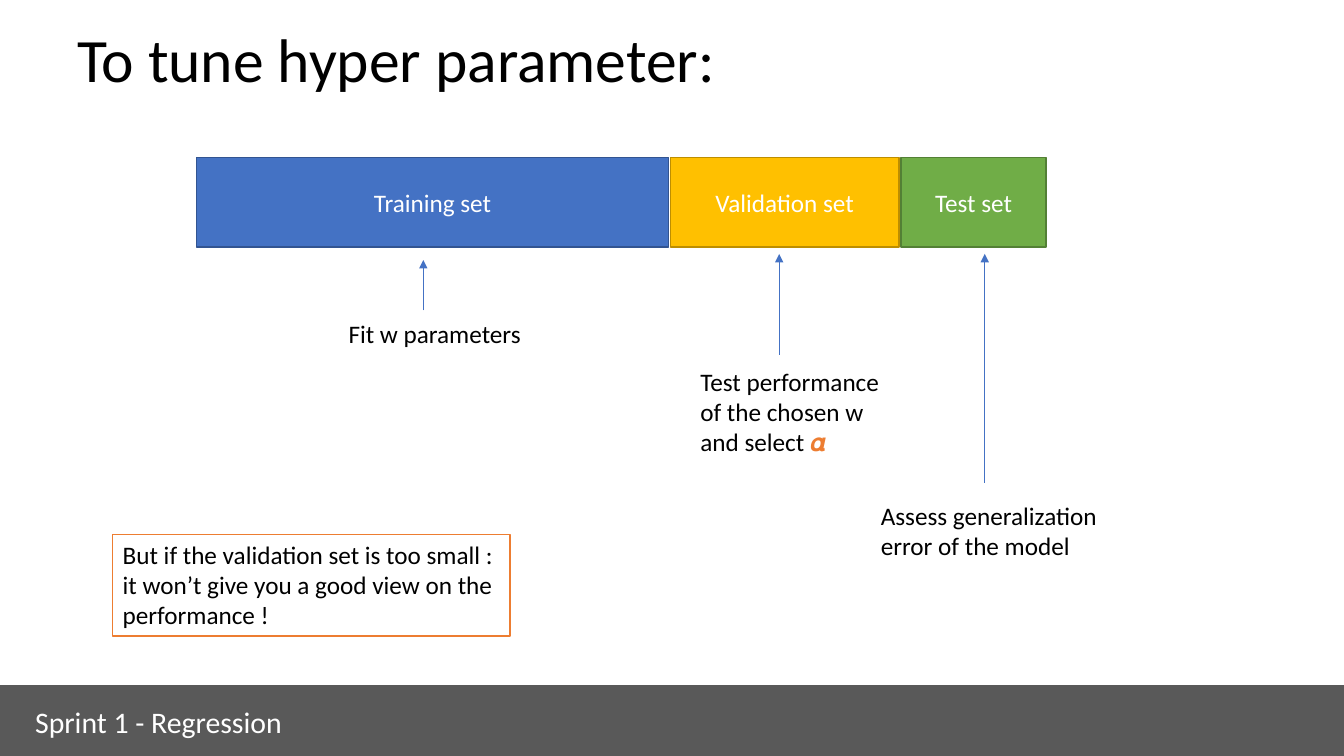
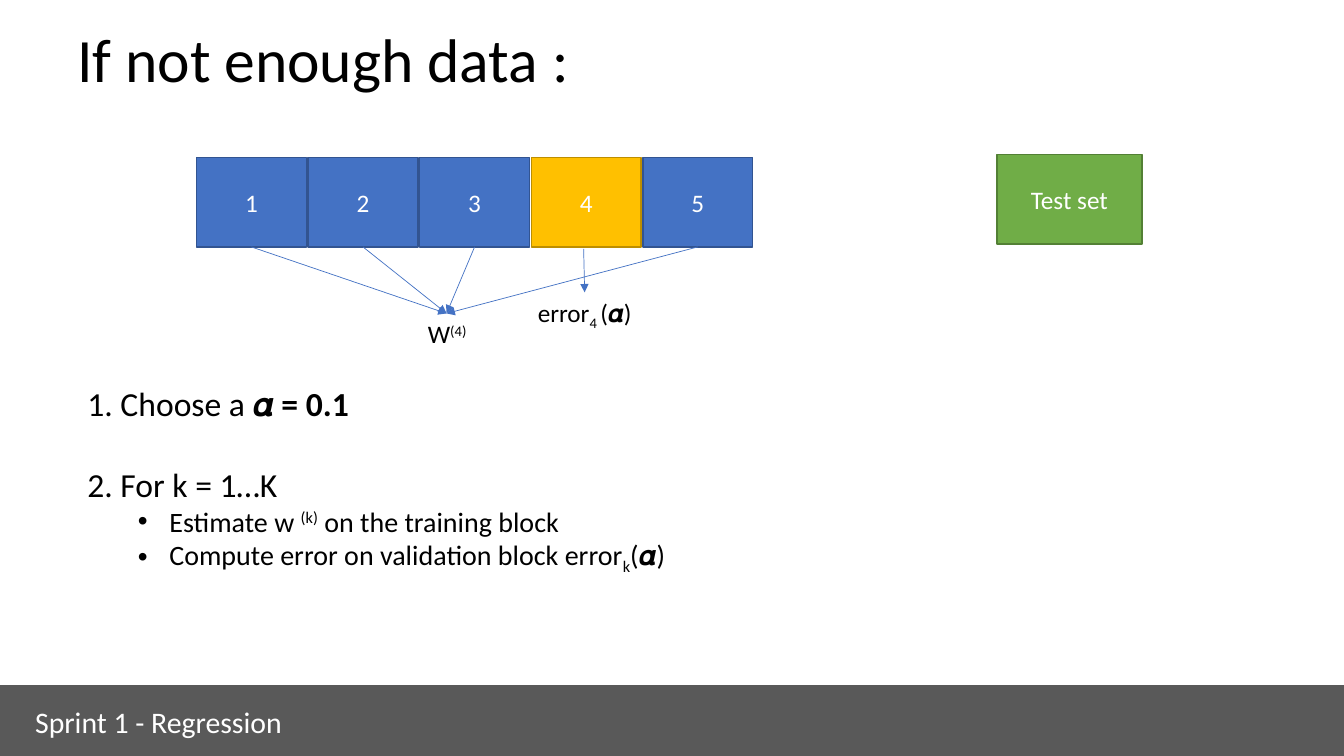
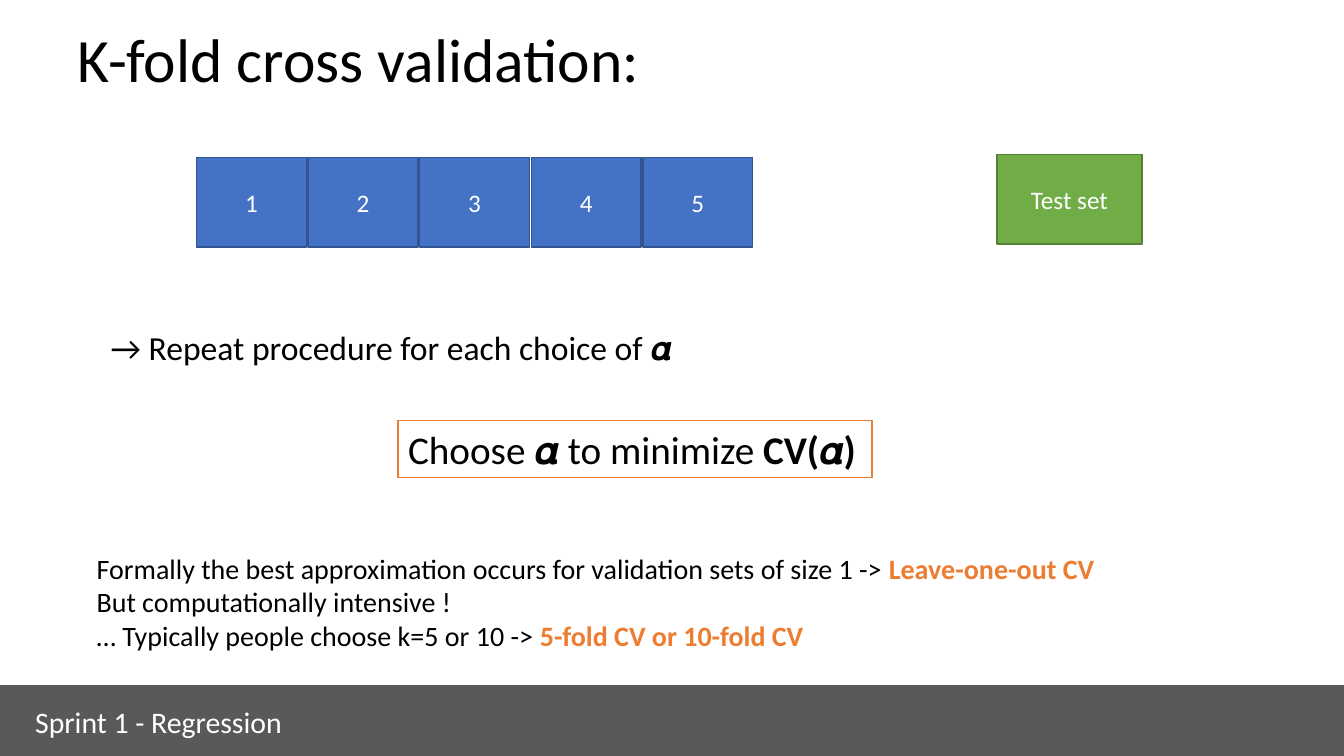
from lxml.etree import SubElement
from pptx import Presentation
from pptx.dml.color import RGBColor
from pptx.enum.shapes import MSO_CONNECTOR, MSO_SHAPE
from pptx.enum.text import MSO_ANCHOR, PP_ALIGN
from pptx.oxml.ns import qn
from pptx.util import Pt

FONT = "Calibri"
BLACK = RGBColor(0x00, 0x00, 0x00)
WHITE = RGBColor(0xFF, 0xFF, 0xFF)
GREY = RGBColor(0x59, 0x59, 0x59)
BLUE = RGBColor(0x44, 0x72, 0xC4)
ORANGE = RGBColor(0xED, 0x7D, 0x31)
TRAINING = (BLUE, RGBColor(0x32, 0x54, 0x91))
VALIDATION = (RGBColor(0xFF, 0xC0, 0x00), RGBColor(0xBD, 0x8E, 0x00))
TEST = (RGBColor(0x70, 0xAD, 0x47), RGBColor(0x53, 0x80, 0x35))

SLIDE_WIDTH, SLIDE_HEIGHT = 960, 540
BAND_TOP = 489.6
ROW_LEFT, ROW_TOP, ROW_HEIGHT, ROW_GAP = 140.4, 112.3, 64.1, 1.3
ROW_BOTTOM = ROW_TOP + ROW_HEIGHT
FOLD_WIDTH, TEST_WIDTH = 78.4, 103.7
TEST_LEFT, TEST_TOP = 712.1, 110.2
WEIGHT_POINT = (319, 223.9)
BASELINES = {"super": "30000", "sub": "-25000"}

FOOTER = "Sprint 1 - Regression"
ALPHA = ("𝜶", "bold")

SPLIT = [
    ("Training set", 337.1, TRAINING),
    ("Validation set", 163.5, VALIDATION),
    ("Test set", TEST_WIDTH, TEST),
]
FOLDS = ["1", "2", "3", "4", "5"]

SLIDES = [
    {
        "title": "To tune hyper parameter:",
        "row": SPLIT,
        "arrows": [
            ((302.4, 221.8), (302.4, 185.8)),
            ((556.6, 253.4), (556.6, 181.4)),
            ((703.4, 344.9), (703.4, 181.4)),
        ],
        "texts": [
            {"box": (241.9, 223.9, 146.2, 29), "size": 18,
             "lines": [["Fit w parameters"]]},
            {"box": (493.2, 257.8, 146.2, 72.7), "size": 18,
             "lines": [["Test performance of the chosen w and select ",
                        ("𝜶", "bold accent")]]},
            {"box": (622.1, 353.5, 169.9, 51), "size": 18,
             "lines": [["Assess generalization error of the model"]]},
            {"box": (80.6, 381.6, 283.7, 72.7), "size": 18, "framed": True,
             "lines": [["But if the validation set is too small : it won’t give you "
                        "a good view on the performance !"]]},
        ],
    },
    {
        "title": "If not enough data :",
        "row": [(fold, FOLD_WIDTH, VALIDATION if fold == "4" else TRAINING) for fold in FOLDS],
        "test_apart": True,
        "converge": True,
        "arrows": [((416.9, 177.8), (417.6, 208.8))],
        "texts": [
            {"box": (279.4, 223.9, 79.9, 29), "size": 18, "centred": True,
             "lines": [["W", ("(4)", "super")]]},
            {"box": (364.3, 208.8, 106.6, 29), "size": 18, "centred": True,
             "lines": [["error", ("4 ", "sub"), "(", ALPHA, ")"]]},
            {"box": (55.4, 270, 540, 143.3), "size": 24, "bullet_size": 20, "space": 29,
             "lines": [["1. Choose a ", ("𝜶 = 0.1", "bold")],
                       ["2. For k = 1…K"]],
             "bullets": [["Estimate w ", ("(k)", "super"), " on the training block"],
                         ["Compute error on validation block error", ("k", "sub"),
                          "(", ALPHA, ")"]]},
        ],
    },
    {
        "title": "K-fold cross validation:",
        "row": [(fold, FOLD_WIDTH, TRAINING) for fold in FOLDS],
        "test_apart": True,
        "arrows": [],
        "texts": [
            {"box": (72, 229.7, 540, 36), "size": 24,
             "lines": [["→ Repeat procedure for each choice of ", ALPHA]]},
            {"box": (284.4, 300.2, 338.4, 41), "size": 28, "framed": True,
             "lines": [["Choose ", ALPHA, " to minimize ", ("CV(𝜶)", "bold")]]},
            {"box": (61.9, 390.2, 856.1, 104.4), "size": 20,
             "lines": [["Formally the best approximation occurs for validation sets of size 1 -> ",
                        ("Leave-one-out CV", "bold accent")],
                       ["But computationally intensive !"],
                       ["… Typically people choose k=5 or 10 -> ",
                        ("5-fold CV or 10-fold CV", "bold accent")]]},
        ],
    },
]


def add_runs(paragraph, runs, size, color=BLACK):
    for item in runs:
        text, style = (item, "") if isinstance(item, str) else item
        marks = style.split()
        run = paragraph.add_run()
        run.text = text
        run.font.name = FONT
        run.font.size = Pt(size)
        run.font.bold = "bold" in marks
        run.font.color.rgb = ORANGE if "accent" in marks else color
        for mark in marks:
            if mark in BASELINES:
                run.font._element.set("baseline", BASELINES[mark])


def make_bullet(paragraph):
    properties = paragraph._p.get_or_add_pPr()
    properties.set("marL", str(Pt(58.5)))
    properties.set("indent", str(Pt(-22.5)))
    SubElement(properties, qn("a:buFont")).set("typeface", "Arial")
    SubElement(properties, qn("a:buChar")).set("char", "•")
    paragraph.level = 1


def add_text(slide, box, lines, size, color=BLACK, framed=False, centred=False,
             bullets=(), bullet_size=None, space=0):
    shape = slide.shapes.add_textbox(*map(Pt, box))
    if framed:
        shape.fill.solid()
        shape.fill.fore_color.rgb = WHITE
        shape.line.color.rgb = ORANGE
        shape.line.width = Pt(1)
    frame = shape.text_frame
    frame.word_wrap = True
    for index, runs in enumerate([*lines, *bullets]):
        paragraph = frame.add_paragraph() if index else frame.paragraphs[0]
        is_bullet = index >= len(lines)
        if is_bullet:
            make_bullet(paragraph)
        elif index and space:
            paragraph.space_before = Pt(space)
        if centred:
            paragraph.alignment = PP_ALIGN.CENTER
        add_runs(paragraph, runs, bullet_size if is_bullet else size, color)
    return frame


def add_block(slide, box, colors, label=None):
    shape = slide.shapes.add_shape(MSO_SHAPE.RECTANGLE, *map(Pt, box))
    shape.shadow.inherit = False
    shape.fill.solid()
    shape.fill.fore_color.rgb, shape.line.color.rgb = colors
    shape.line.width = Pt(1)
    if label:
        frame = shape.text_frame
        frame.vertical_anchor = MSO_ANCHOR.MIDDLE
        paragraph = frame.paragraphs[0]
        paragraph.alignment = PP_ALIGN.CENTER
        add_runs(paragraph, [label], 18, WHITE)


def add_arrow(slide, start, end):
    arrow = slide.shapes.add_connector(MSO_CONNECTOR.STRAIGHT, *map(Pt, (*start, *end)))
    arrow.line.color.rgb = BLUE
    arrow.line.width = Pt(0.5)
    SubElement(arrow.line._get_or_add_ln(), qn("a:tailEnd")).set("type", "triangle")
    SubElement(arrow._element.spPr, qn("a:effectLst"))


def add_frame(slide, title):
    frame = add_text(slide, (48, 0, 864, 90), [[title]], 44)
    frame.vertical_anchor = MSO_ANCHOR.MIDDLE
    frame.paragraphs[0].line_spacing = 0.9
    add_block(slide, (0, BAND_TOP, SLIDE_WIDTH, SLIDE_HEIGHT - BAND_TOP), (GREY, GREY))
    add_text(slide, (18, 499, 242, 33), [[FOOTER]], 21.3, WHITE)


def add_row(slide, blocks):
    left, centers = ROW_LEFT, []
    for label, width, colors in blocks:
        add_block(slide, (left, ROW_TOP, width, ROW_HEIGHT), colors, label)
        centers.append((left + width / 2, colors))
        left += width + ROW_GAP
    return centers


def build_slide(presentation, content):
    slide = presentation.slides.add_slide(presentation.slide_layouts[6])
    add_frame(slide, content["title"])
    centers = add_row(slide, content["row"])
    if content.get("test_apart"):
        add_block(slide, (TEST_LEFT, TEST_TOP, TEST_WIDTH, ROW_HEIGHT), TEST, "Test set")
    if content.get("converge"):
        for center, colors in centers:
            if colors == TRAINING:
                add_arrow(slide, (center, ROW_BOTTOM), WEIGHT_POINT)
    for start, end in content["arrows"]:
        add_arrow(slide, start, end)
    for text in content["texts"]:
        add_text(slide, **text)


def main():
    presentation = Presentation()
    presentation.slide_width = Pt(SLIDE_WIDTH)
    presentation.slide_height = Pt(SLIDE_HEIGHT)
    for content in SLIDES:
        build_slide(presentation, content)
    presentation.save("out.pptx")


if __name__ == "__main__":
    main()
